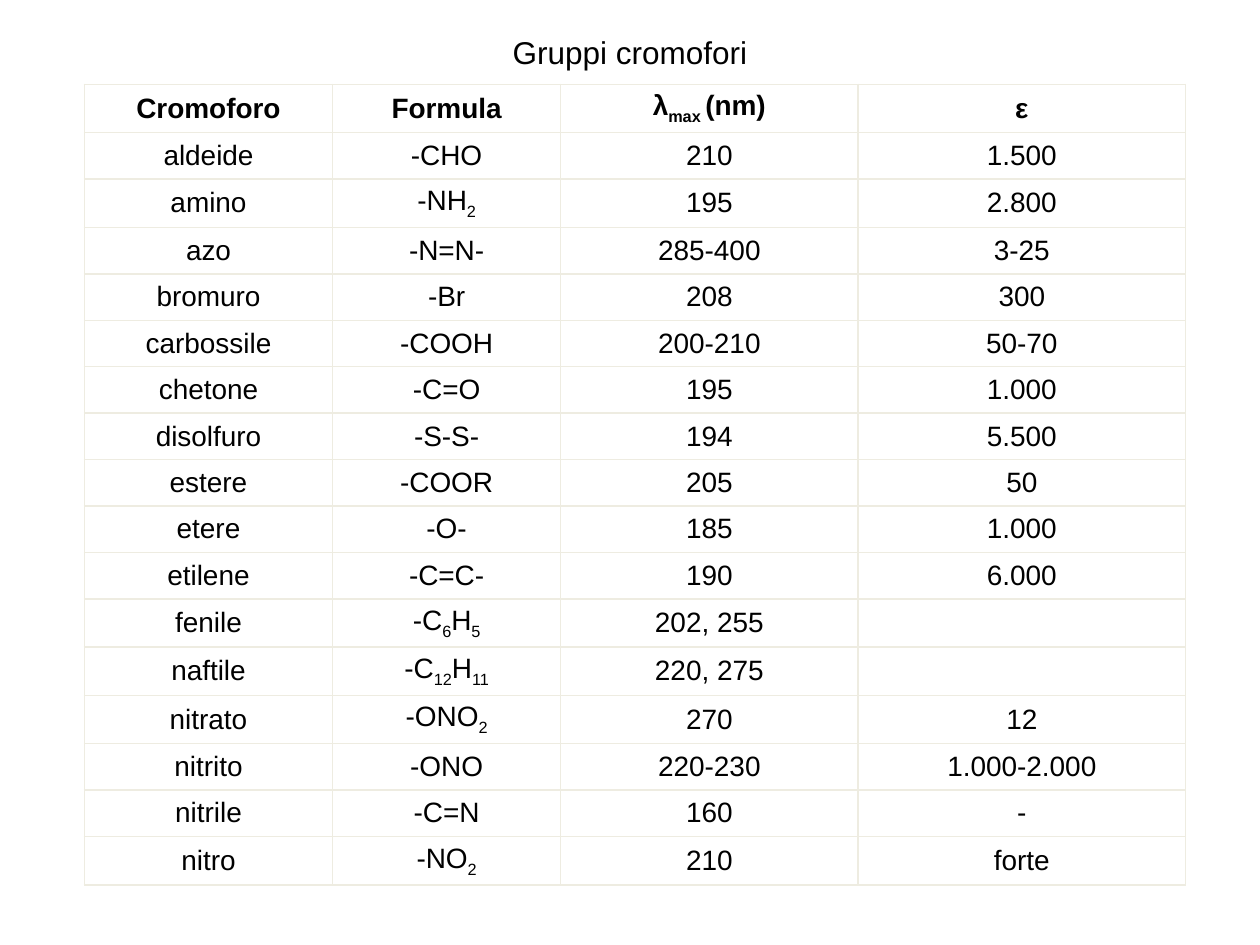
from dataclasses import dataclass

from lxml import etree
from pptx import Presentation
from pptx import util as u
from pptx.dml.color import RGBColor
from pptx.enum import text
from pptx.oxml import ns


@dataclass(frozen=True)
class Theme:
    font: str = "Arial"
    ink: str = "000000"
    border: str = "EEECE1"
    title_size: int = 18
    body_size: int = 16
    border_width: int = 1
    subscript: int = -25000
    space_before: int = 20000


HEADINGS = ("Cromoforo", "Formula", "λ_max _(nm)", "ε")
# Text between underscores is set as a subscript
CHROMOPHORES = (
    ("aldeide", "-CHO", "210", "1.500"),
    ("amino", "-NH_2_", "195", "2.800"),
    ("azo", "-N=N-", "285-400", "3-25"),
    ("bromuro", "-Br", "208", "300"),
    ("carbossile", "-COOH", "200-210", "50-70"),
    ("chetone", "-C=O", "195", "1.000"),
    ("disolfuro", "-S-S-", "194", "5.500"),
    ("estere", "-COOR", "205", "50"),
    ("etere", "-O-", "185", "1.000"),
    ("etilene", "-C=C-", "190", "6.000"),
    ("fenile", "-C_6_H_5_", "202, 255", ""),
    ("naftile", "-C_12_H_11_", "220, 275", ""),
    ("nitrato", "-ONO_2_", "270", "12"),
    ("nitrito", "-ONO", "220-230", "1.000-2.000"),
    ("nitrile", "-C=N", "160", "-"),
    ("nitro", "-NO_2_", "210", "forte"),
)


def add_xml(parent, tag, **attributes):
    return etree.SubElement(parent, ns.qn(tag), attributes)


def write_text(paragraph, content, *, theme, size, bold=False):
    """Fill a centred paragraph, lowering the parts between underscores."""
    paragraph.alignment = text.PP_ALIGN.CENTER
    if not content:
        # Keeps an empty cell as low as its neighbours
        add_xml(paragraph._p, "a:endParaRPr", sz=str(size * 100))
    for index, part in enumerate(content.split("_")):
        if not part:
            continue
        run = paragraph.add_run()
        run.text = part
        run.font.name = theme.font
        run.font.size = u.Pt(size)
        run.font.bold = bold
        run.font.color.rgb = RGBColor.from_string(theme.ink)
        if index % 2:
            run.font._element.set("baseline", str(theme.subscript))


class SlideBuilder:
    def __init__(self, slide, theme):
        self.slide = slide
        self.theme = theme

    def title(self, content, left, top, width, height):
        heading = self.slide.shapes.title
        heading.left, heading.top = u.Inches(left), u.Inches(top)
        heading.width, heading.height = u.Inches(width), u.Inches(height)
        frame = heading.text_frame
        frame.auto_size = text.MSO_AUTO_SIZE.NONE
        frame.vertical_anchor = text.MSO_ANCHOR.MIDDLE
        frame.margin_top = frame.margin_bottom = 0
        write_text(frame.paragraphs[0], content, theme=self.theme,
                   size=self.theme.title_size)

    def table(self, rows, left, top, widths, height):
        grid = self.slide.shapes.add_table(
            len(rows), len(widths), u.Inches(left), u.Inches(top),
            u.Inches(sum(widths)), u.Inches(height)).table
        grid.first_row = grid.horz_banding = False
        for column, width in zip(grid.columns, widths):
            column.width = u.Inches(width)
        for r, row in enumerate(rows):
            for c, content in enumerate(row):
                self.cell(grid.cell(r, c), content, bold=r == 0)

    def cell(self, cell, content, bold):
        cell.vertical_anchor = text.MSO_ANCHOR.MIDDLE
        cell.margin_left = cell.margin_right = u.Inches(0.1)
        cell.margin_top = cell.margin_bottom = u.Inches(0.05)
        paragraph = cell.text_frame.paragraphs[0]
        write_text(paragraph, content, theme=self.theme,
                   size=self.theme.body_size, bold=bold)
        spacing = add_xml(paragraph._p.get_or_add_pPr(), "a:spcBef")
        add_xml(spacing, "a:spcPct", val=str(self.theme.space_before))
        self.borders(cell)
        cell.fill.background()

    def borders(self, cell):
        properties = cell._tc.get_or_add_tcPr()
        for side in ("L", "R", "T", "B"):
            line = add_xml(properties, f"a:ln{side}",
                           w=str(u.Pt(self.theme.border_width)))
            add_xml(add_xml(line, "a:solidFill"), "a:srgbClr", val=self.theme.border)


def main():
    deck = Presentation()
    deck.slide_width, deck.slide_height = u.Inches(10), u.Inches(7.5)
    title_only = deck.slide_layouts[5]
    builder = SlideBuilder(deck.slides.add_slide(title_only), Theme())

    # Heading
    builder.title("Gruppi cromofori", 0.75, 0.25, 8.5, 0.33)

    # Chromophores with their absorption data
    builder.table((HEADINGS, *CHROMOPHORES), left=0.67, top=0.67,
                  widths=(1.97, 1.81, 2.36, 2.6), height=6.27)

    deck.save("out.pptx")


if __name__ == "__main__":
    main()
